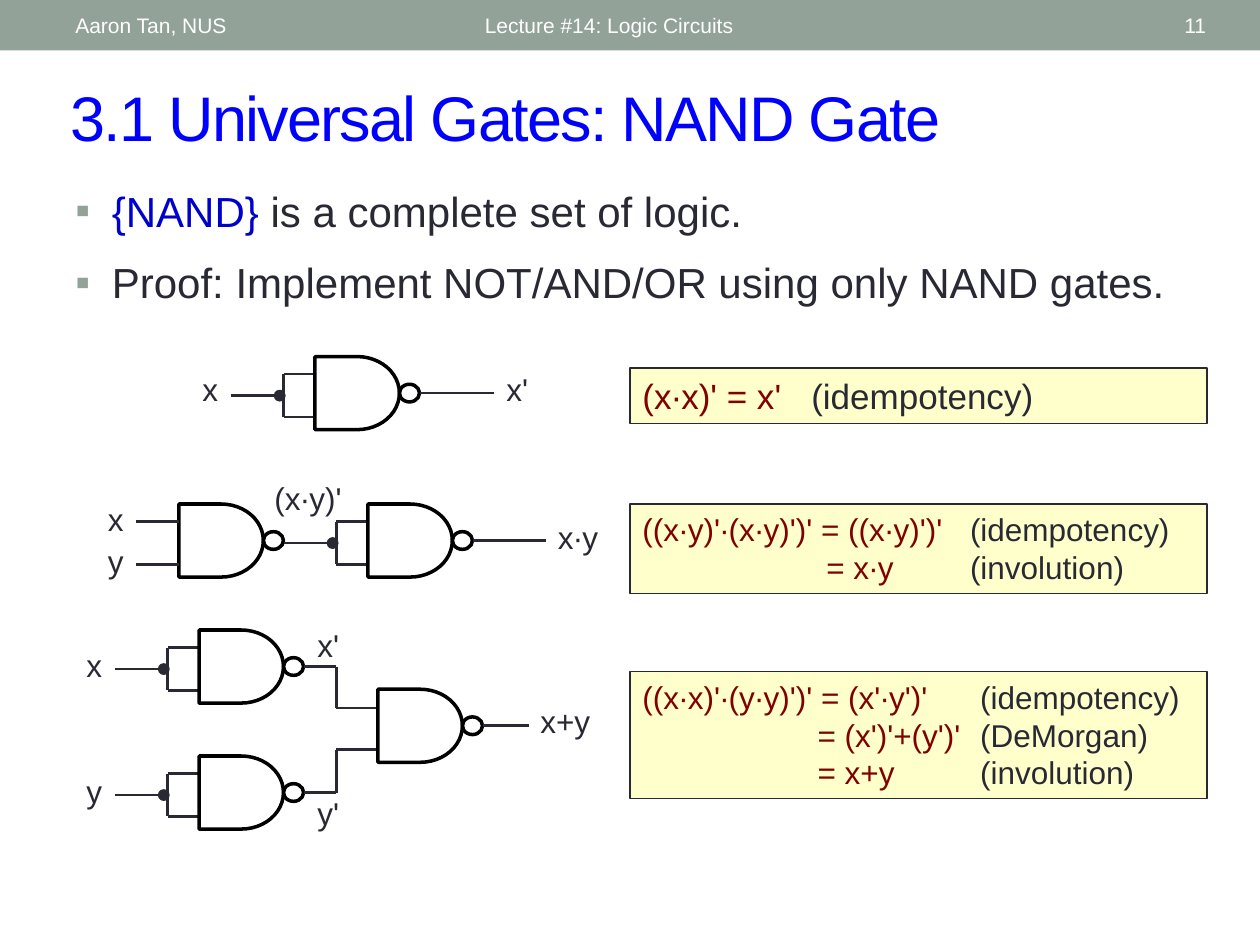
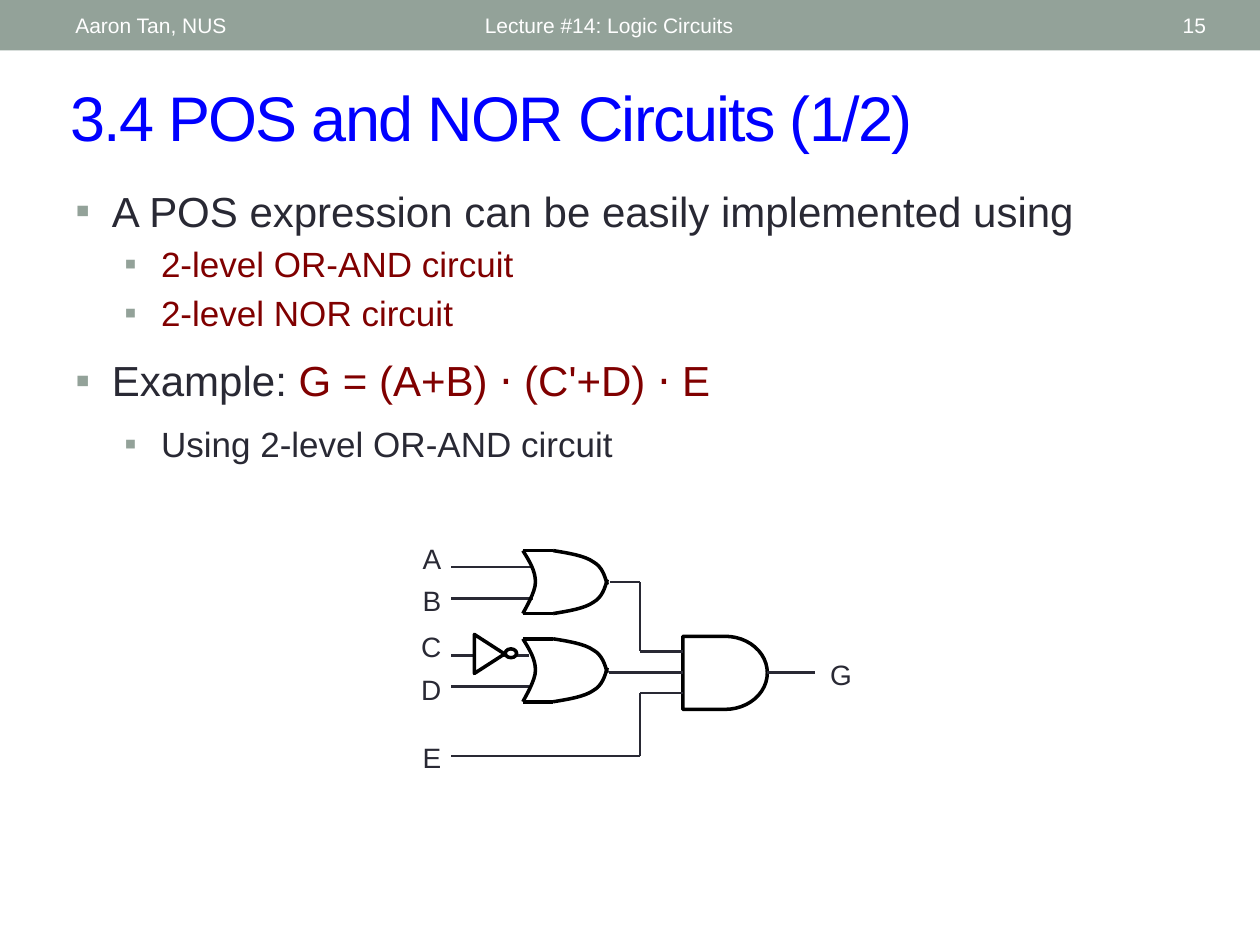
from dataclasses import dataclass
from itertools import pairwise

from lxml import etree
from pptx import Presentation
from pptx.dml.color import RGBColor
from pptx.enum.shapes import MSO_CONNECTOR, MSO_SHAPE
from pptx.enum.text import MSO_ANCHOR, PP_ALIGN
from pptx.oxml.ns import qn
from pptx.util import Inches, Pt

STRAIGHT = MSO_CONNECTOR.STRAIGHT
RECTANGLE, OVAL = MSO_SHAPE.RECTANGLE, MSO_SHAPE.OVAL
DELAY, MERGE = MSO_SHAPE.FLOWCHART_DELAY, MSO_SHAPE.FLOWCHART_MERGE
LEFT, RIGHT = PP_ALIGN.LEFT, PP_ALIGN.RIGHT
TOP, MIDDLE = MSO_ANCHOR.TOP, MSO_ANCHOR.MIDDLE


@dataclass(frozen=True)
class Theme:
    font: str = "Arial"
    band: str = "93A299"
    title: str = "0000FF"
    keyword: str = "0000CC"
    formula: str = "800000"
    ink: str = "292934"
    gate: str = "000000"
    note: str = "FFFFCC"
    white: str = "FFFFFF"
    title_size: int = 36
    body_sizes: tuple = (24, 20)
    label_size: int = 18
    small_label_size: int = 16
    header_size: int = 12
    gate_line: float = 2
    wire_line: float = 1.5
    note_line: float = 0.75


THEME = Theme()
GATE_WIDTH, GATE_HEIGHT = 0.67, 0.58
INPUT_OFFSETS = (0.14, 0.48)
# Curves of an OR gate: start point, then three points for each Bezier segment
OR_HEIGHT, OR_SHOULDER = 0.5, 0.24
OR_BACK = [(0, 0), (0.05, 0.08), (0.1, 0.16), (0.1, 0.25),
           (0.1, 0.33), (0.02, 0.46), (0, 0.5)]
OR_UPPER = [(0.24, 0), (0.36, 0.02), (0.49, 0.04), (0.56, 0.09),
            (0.63, 0.13), (0.65, 0.2), (0.67, 0.27)]
OR_LOWER = [(x, OR_HEIGHT - y) for x, y in OR_UPPER]


def color(value):
    return RGBColor.from_string(value)


# Text

def add_span(para, text, size, ink):
    span = para.add_run()
    span.text = text
    span.font.name = THEME.font
    span.font.size = Pt(size)
    span.font.color.rgb = color(ink)
    return span


def add_text_box(shapes, at, anchor=TOP):
    box = shapes.add_textbox(*map(Inches, at))
    box.text_frame.word_wrap = True
    box.text_frame.vertical_anchor = anchor
    return box.text_frame


def add_line_of_text(shapes, text, at, size, ink, align=LEFT, anchor=TOP):
    para = add_text_box(shapes, at, anchor).paragraphs[0]
    para.alignment = align
    return add_span(para, text, size, ink)


def next_para(frame, index):
    return frame.add_paragraph() if index else frame.paragraphs[0]


def set_bullet(para, level):
    props = para._p.get_or_add_pPr()
    props.set("marL", str(Inches((0.29, 0.68)[level])))
    props.set("indent", str(Inches(-0.29)))
    tint = etree.SubElement(props, qn("a:buClr"))
    etree.SubElement(tint, qn("a:srgbClr"), val=THEME.band)
    etree.SubElement(props, qn("a:buFont"), typeface=THEME.font)
    etree.SubElement(props, qn("a:buChar"), char="▪")


def add_bullets(page, height, items):
    """Each item is (level, space before as a share of the size, spans)."""
    frame = add_text_box(page.shapes, (0.5, 1.42, 9, height))
    for index, (level, gap, spans) in enumerate(items):
        para = next_para(frame, index)
        size = THEME.body_sizes[level]
        para.level = level
        para.space_before = Pt(gap * size)
        set_bullet(para, level)
        for text, ink in spans:
            add_span(para, text, size, ink)


def add_label(circuit, text, left, top, width, align=LEFT, size=THEME.label_size):
    height = 0.4 if size == THEME.label_size else 0.37
    add_line_of_text(circuit, text, (left, top, width, height), size, THEME.ink, align)


# Shapes and wires

def add_figure(shapes, kind, at, fill=None, line=None, weight=THEME.gate_line):
    figure = shapes.add_shape(kind, *map(Inches, at))
    style_figure(figure, fill, line, weight)
    return figure


def style_figure(figure, fill, line, weight):
    figure.shadow.inherit = False
    if fill:
        figure.fill.solid()
        figure.fill.fore_color.rgb = color(fill)
    else:
        figure.fill.background()
    if line:
        figure.line.color.rgb = color(line)
        figure.line.width = Pt(weight)
    else:
        figure.line.fill.background()


def add_line(circuit, start, end, ink, weight):
    segment = circuit.add_connector(STRAIGHT, *map(Inches, start + end))
    segment.line.color.rgb = color(ink)
    segment.line.width = Pt(weight)
    etree.SubElement(segment._element.spPr, qn("a:effectLst"))
    return segment


def add_wire(circuit, *points):
    """Draw straight segments through the points and return the last one."""
    for start, end in pairwise(points):
        segment = add_line(circuit, start, end, THEME.ink, THEME.wire_line)
    return segment


def add_curve(circuit, left, top, points):
    """Open outline whose points after the first are taken as Bezier triples."""
    start, *rest = [(Inches(left + x), Inches(top + y)) for x, y in points]
    builder = circuit.build_freeform(*start)
    builder.add_line_segments(rest, close=False)
    curve = builder.convert_to_shape()
    style_figure(curve, None, THEME.gate, THEME.gate_line)
    steps = list(curve._element.iter(qn("a:lnTo")))
    for first in range(0, len(steps), 3):
        bend = etree.Element(qn("a:cubicBezTo"))
        steps[first].addprevious(bend)
        for step in steps[first:first + 3]:
            bend.append(step[0])
            step.getparent().remove(step)


def add_note(page, top, height, size, tabs, lines):
    """Boxed derivation; the tab stops align its columns."""
    box = add_figure(page.shapes, RECTANGLE, (5, top, 4.58, height),
                     THEME.note, THEME.ink, THEME.note_line)
    frame = box.text_frame
    frame.word_wrap = True
    frame.vertical_anchor = TOP
    for index, (formula, law) in enumerate(lines):
        para = next_para(frame, index)
        para.alignment = LEFT
        stops = etree.SubElement(para._p.get_or_add_pPr(), qn("a:tabLst"))
        for stop in tabs:
            etree.SubElement(stops, qn("a:tab"), pos=str(Inches(stop)), algn="l")
        add_span(para, formula, size, THEME.formula)
        add_span(para, "\t" + law, size, THEME.ink)


# Gates

def add_and_gate(circuit, left, top):
    return add_figure(circuit, DELAY, (left, top, GATE_WIDTH, GATE_HEIGHT),
                      line=THEME.gate)


def add_nand_gate(circuit, left, top, output_end):
    add_and_gate(circuit, left, top)
    add_figure(circuit, OVAL, (left + GATE_WIDTH, top + 0.22, 0.16, 0.14),
               line=THEME.gate)
    level = top + 0.29
    add_wire(circuit, (left + 0.83, level), (output_end, level))


def add_tied_nand_gate(circuit, left, top, output_end):
    """NAND gate with one signal feeding both inputs."""
    joint = left - 0.25
    high, low = (top + offset for offset in INPUT_OFFSETS)
    add_wire(circuit, (left - 0.67, top + 0.31), (joint, top + 0.31))
    add_wire(circuit, (left, high), (joint, high), (joint, low), (left, low))
    add_figure(circuit, OVAL, (left - 0.32, top + 0.27, 0.08, 0.08),
               THEME.ink, THEME.ink, 1)
    add_nand_gate(circuit, left, top, output_end)


def add_or_gate(circuit, left, top):
    for points in (OR_BACK, OR_UPPER, OR_LOWER):
        add_curve(circuit, left, top, points)
    for level in (top, top + OR_HEIGHT):
        add_line(circuit, (left, level), (left + OR_SHOULDER, level),
                 THEME.gate, THEME.gate_line)


def add_inverter(circuit, left, top):
    triangle = add_figure(circuit, MERGE, (left, top, 0.31, 0.24),
                          THEME.white, THEME.gate)
    triangle.rotation = 270
    add_figure(circuit, OVAL, (left + 0.28, top + 0.08, 0.09, 0.07),
               THEME.white, THEME.gate)


# Pages

def add_page(deck, title, number):
    page = deck.slides.add_slide(deck.slide_layouts[6])
    add_figure(page.shapes, RECTANGLE, (0, 0, 10, 0.4), THEME.band)
    heading = add_line_of_text(page.shapes, title, (0.46, 0.57, 9.07, 0.7),
                               THEME.title_size, THEME.title, anchor=MIDDLE)
    heading._r.get_or_add_rPr().set("spc", "-100")
    for text, left, width, align in (
        ("Lecture #14: Logic Circuits", 3.75, 4.5, LEFT),
        (str(number), 8.72, 0.95, RIGHT),
        ("Aaron Tan, NUS", 0.5, 3.17, LEFT),
    ):
        add_line_of_text(page.shapes, text, (left, 0.02, width, 0.36),
                         THEME.header_size, THEME.white, align, MIDDLE)
    return page


def add_circuit(page):
    return page.shapes.add_group_shape().shapes


def build_nand_page(deck):
    page = add_page(deck, "3.1 Universal Gates: NAND Gate", 11)
    add_bullets(page, 1.33, [
        (0, 0.2, [("{NAND} ", THEME.keyword),
                  ("is a complete set of logic.", THEME.ink)]),
        (0, 0.5, [("Proof: Implement NOT/AND/OR using only NAND gates.", THEME.ink)]),
    ])

    # NOT
    circuit = add_circuit(page)
    add_tied_nand_gate(circuit, 2.5, 2.83, 3.92)
    add_label(circuit, "x", 1.5, 2.89, 0.33, RIGHT)
    add_label(circuit, "x'", 3.92, 2.89, 0.5)
    add_note(page, 2.92, 0.44, 20, [1.34], [("(x∙x)' = x'", "(idempotency)")])

    # AND
    circuit = add_circuit(page)
    add_nand_gate(circuit, 1.42, 4, 2.25)
    add_tied_nand_gate(circuit, 2.92, 4, 4.33)
    for name, label_top, offset in zip("xy", (3.92, 4.25), INPUT_OFFSETS):
        add_wire(circuit, (1.08, 4 + offset), (1.42, 4 + offset))
        add_label(circuit, name, 0.75, label_top, 0.33, RIGHT)
    add_label(circuit, "(x∙y)'", 2.08, 3.75, 0.75)
    add_label(circuit, "x∙y", 4.33, 4.06, 0.58)
    add_note(page, 4, 0.71, 18, [1.46, 2.6], [
        ("((x∙y)'∙(x∙y)')' = ((x∙y)')'", "(idempotency)"),
        ("\t= x∙y", "(involution)"),
    ])

    # OR
    circuit = add_circuit(page)
    for name, top, inverse_top, target in (("x", 5, 4.92, 5.62), ("y", 6, 6.25, 5.95)):
        add_tied_nand_gate(circuit, 1.58, top, 2.67)
        add_wire(circuit, (2.67, top + 0.29), (2.67, target), (3, target))
        add_label(circuit, name, 0.58, top + 0.08, 0.33, RIGHT)
        add_label(circuit, name + "'", 2.42, inverse_top, 0.42)
    add_nand_gate(circuit, 3, 5.47, 4.2)
    add_label(circuit, "x+y", 4.19, 5.52, 0.67)
    add_note(page, 5.33, 1.01, 18, [1.39, 2.68], [
        ("((x∙x)'∙(y∙y)')' = (x'∙y')'", "(idempotency)"),
        ("\t= (x')'+(y')'", "(DeMorgan)"),
        ("\t= x+y", "(involution)"),
    ])


def build_pos_page(deck):
    page = add_page(deck, "3.4 POS and NOR Circuits (1/2)", 15)
    add_bullets(page, 2.63, [
        (0, 0.2, [("A POS expression can be easily implemented using", THEME.ink)]),
        (1, 0.2, [("2-level OR-AND circuit", THEME.formula)]),
        (1, 0.2, [("2-level NOR circuit", THEME.formula)]),
        (0, 0.5, [("Example:", THEME.ink),
                  (" G = (A+B) ⋅ (C'+D) ⋅ E", THEME.formula)]),
        (1, 0.5, [("Using 2-level OR-AND circuit", THEME.ink)]),
    ])

    # Inputs
    circuit = add_circuit(page)
    for name, label_top, level, end in (
        ("A", 4.25, 4.5, 4.23), ("B", 4.58, 4.75, 4.23),
        ("C", 4.95, 5.2, 4.2), ("D", 5.29, 5.45, 4.2), ("E", 5.83, 6, 5.08),
    ):
        add_label(circuit, name, 3.18, label_top, 0.42, RIGHT, THEME.small_label_size)
        add_wire(circuit, (3.58, level), (end, level))

    # Gates and the wires between them
    for top in (4.37, 5.07):
        add_or_gate(circuit, 4.15, top)
    add_inverter(circuit, 3.73, 5.07)
    and_gate = add_and_gate(circuit, 5.42, 5.05)
    add_wire(circuit, (4.84, 4.62), (5.08, 4.62), (5.08, 5.17), (5.42, 5.17))
    add_wire(circuit, (4.83, 5.34), (5.42, 5.34)).end_connect(and_gate, 1)
    add_wire(circuit, (5.08, 6), (5.08, 5.5), (5.42, 5.5))
    add_wire(circuit, (6.09, 5.34), (6.47, 5.34)).begin_connect(and_gate, 3)
    add_label(circuit, "G", 6.49, 5.17, 0.39, size=THEME.small_label_size)


def main():
    deck = Presentation()
    deck.slide_width, deck.slide_height = Inches(10), Inches(7.5)
    build_nand_page(deck)
    build_pos_page(deck)
    deck.save("out.pptx")


if __name__ == "__main__":
    main()
